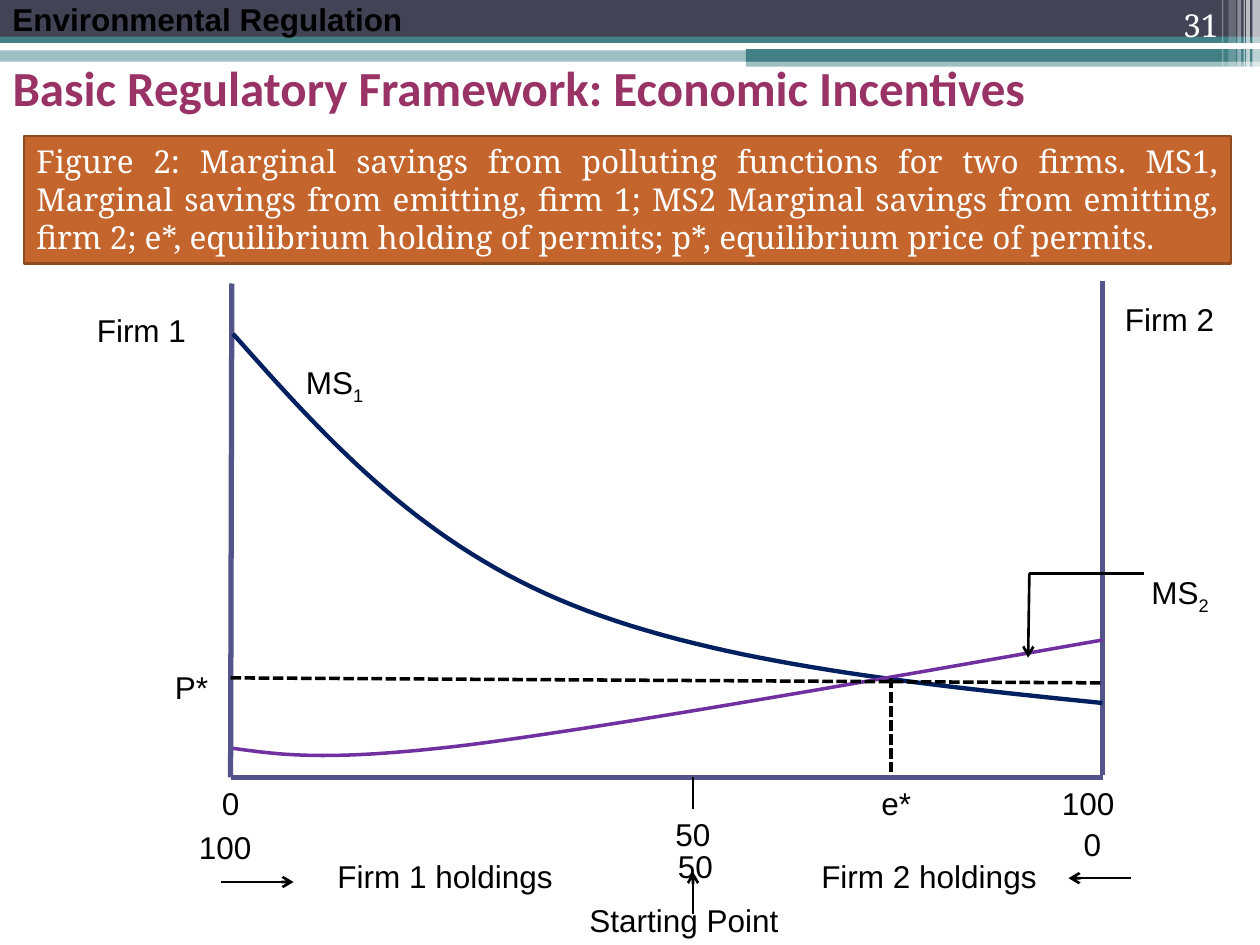
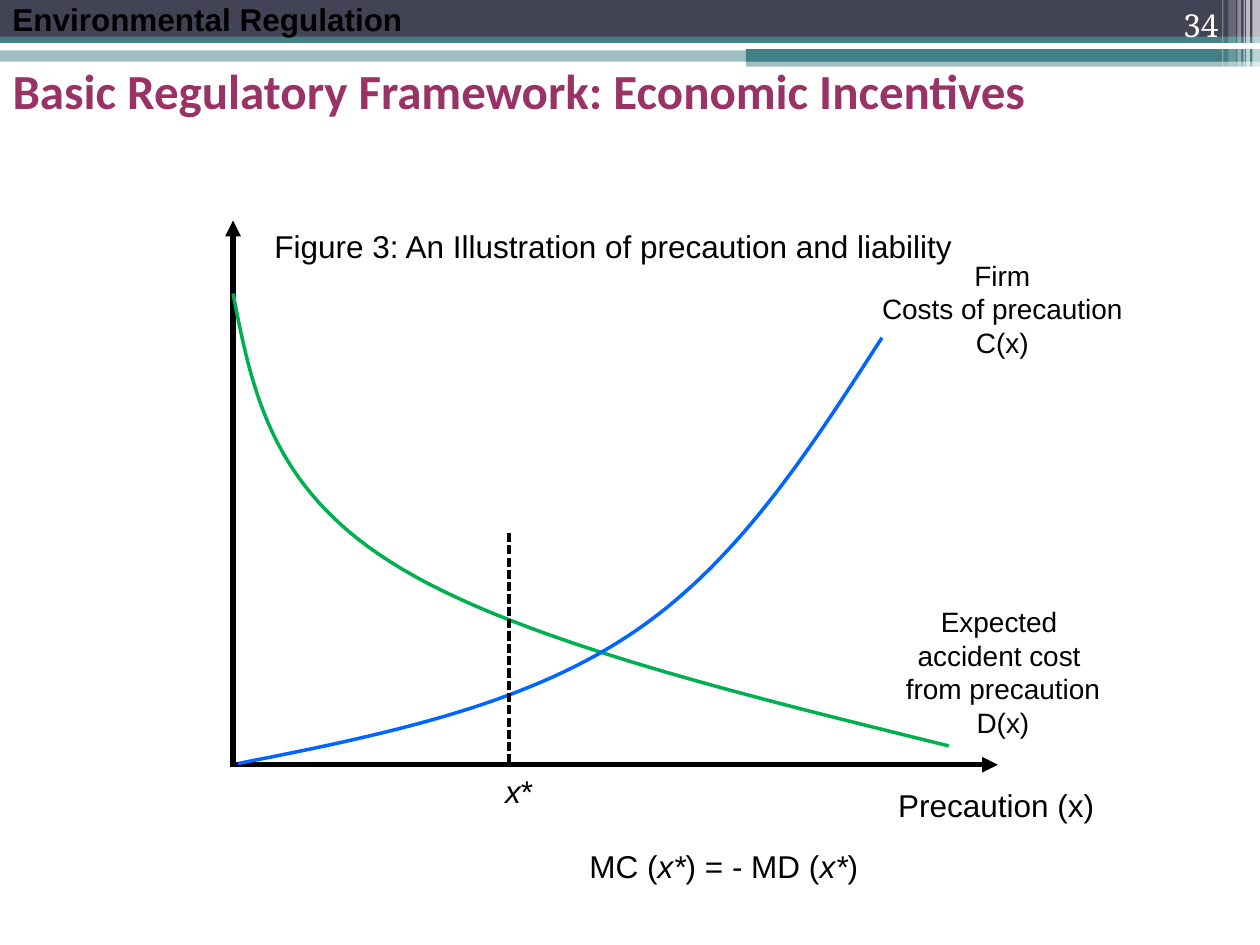
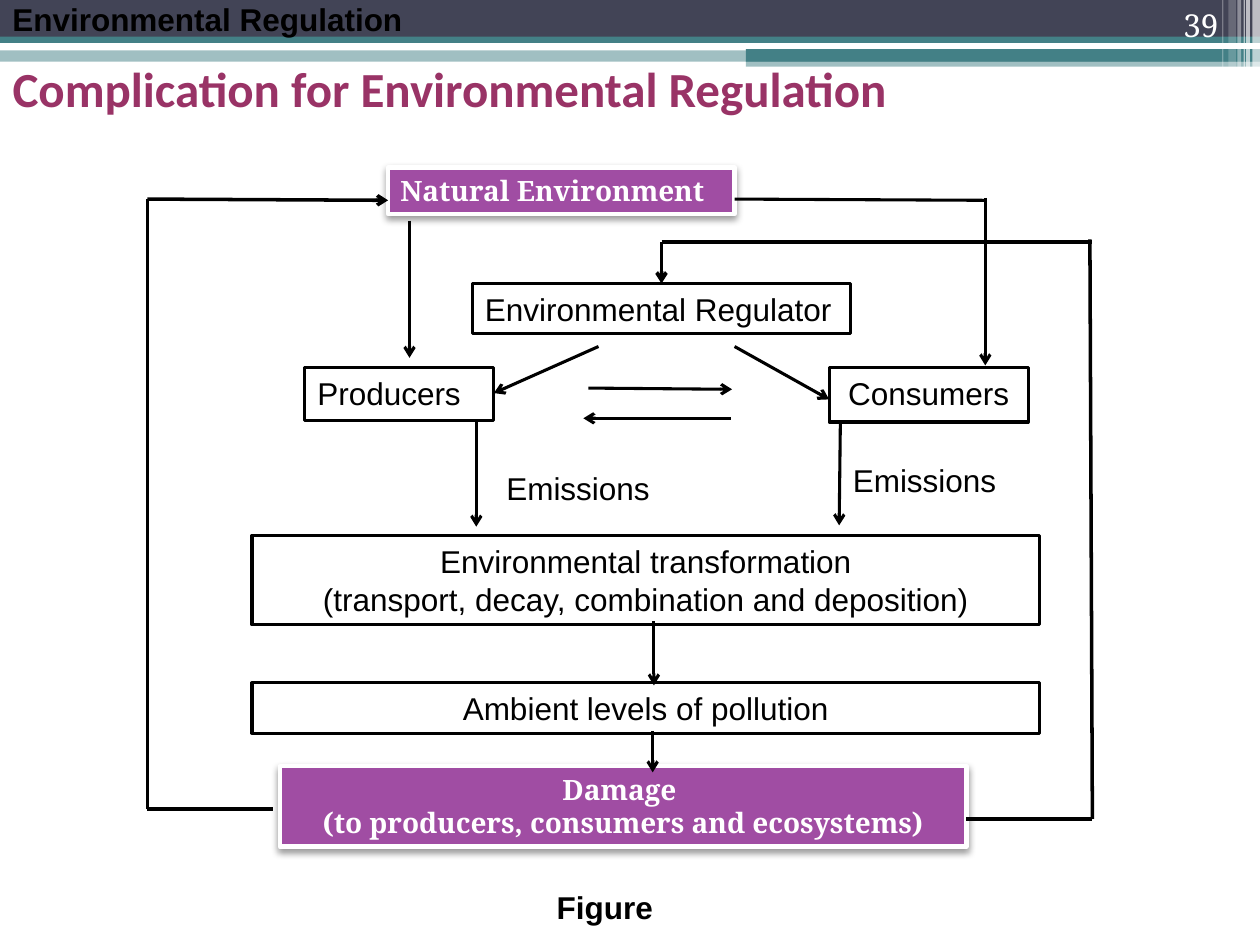
"""Builds three slides on environmental regulation."""
import lxml.etree
import pptx
import pptx.dml.color
import pptx.enum.dml
import pptx.enum.shapes
import pptx.enum.text
import pptx.oxml.ns
import pptx.util

PX = 9144
WIDE, HIGH = 1000, 750
HUES = {
    "ink": "000000", "white": "FFFFFF", "slate": "424456", "teal": "438086",
    "plum": "993366", "axis": "53548A", "navy": "002060", "purple": "7030A0",
    "rust": "C4652D", "brown": "914B21", "violet": "A04DA3", "green": "00B050",
    "blue": "0066FF",
}
BANDS = [
    (0, 40, WIDE, 9, "teal", 50), (0, 0, WIDE, 34, "slate", 100),
    (0, 29, WIDE, 5, "teal", 100), (592, 39, 408, 10, "teal", 100),
    (592, 48, 408, 5, "teal", 50),
]
STRIPES = [(994, 6, 68, 65), (989, 3, 68, 65), (987, 1, 68, 60),
           (982, 3, 68, 40), (975, 6, 64, 20), (970, 1, 64, 30)]
ALIGN = {
    "l": pptx.enum.text.PP_ALIGN.LEFT, "c": pptx.enum.text.PP_ALIGN.CENTER,
    "r": pptx.enum.text.PP_ALIGN.RIGHT, "j": pptx.enum.text.PP_ALIGN.JUSTIFY,
}
qn = pptx.oxml.ns.qn


def emu(*nums):
    return [pptx.util.Emu(round(n * PX)) for n in nums]


def hue(name):
    return pptx.dml.color.RGBColor.from_string(HUES[name])


class Deck:
    def __init__(self):
        self.show = pptx.Presentation()
        self.show.slide_width, self.show.slide_height = emu(WIDE, HIGH)

    def page(self, title, top, number):
        self.slide = self.show.slides.add_slide(self.show.slide_layouts[5])
        self.shapes = self.slide.shapes
        for *at, color, alpha in BANDS:
            self.box(at, color, alpha=alpha)
        self.box((806, 64, 175, 4), "white", form="ROUNDED_RECTANGLE")
        for left, width, height, alpha in STRIPES:
            self.box((left, 0, width, height), "white", alpha=alpha)
        self.text((0, -5, 350, 40), ["Environmental Regulation"], bold=True)
        self.text((894, 0, 83, 40), [number], "r", face="Noto Serif",
                  color="white", anchor="BOTTOM", grow=False)
        head = self.shapes.title
        head.left, head.top, head.width, head.height = emu(0, top, WIDE, 58)
        self.label(head, [title], size=28, face="Calibri", color="plum",
                   bold=True, anchor="MIDDLE", grow=False)
        head.element.getparent().append(head.element)

    def label(self, shape, paras, align="l", size=18, face="Arial",
              color="ink", bold=False, anchor="TOP", grow=True):
        frame = shape.text_frame
        frame.word_wrap = True
        frame.vertical_anchor = getattr(pptx.enum.text.MSO_ANCHOR, anchor)
        fit = pptx.enum.text.MSO_AUTO_SIZE
        frame.auto_size = fit.SHAPE_TO_FIT_TEXT if grow else fit.NONE
        for i, runs in enumerate(paras):
            para = frame.add_paragraph() if i else frame.paragraphs[0]
            para.alignment = ALIGN[align]
            font = para.font
            font.size, font.name, font.bold = pptx.util.Pt(size), face, bold
            font.color.rgb = hue(color)
            for words, mark in [(runs, "")] if isinstance(runs, str) else runs:
                run = para.add_run()
                run.text = words
                if mark == "i":
                    run.font.italic = True
                elif mark == "sub":
                    run.font.italic = False
                    props = list(shape.element.iter(qn("a:rPr")))[-1]
                    props.set("baseline", "-25000")

    def text(self, at, paras, align="l", **style):
        self.label(self.shapes.add_textbox(*emu(*at)), paras, align, **style)

    def box(self, at, fill=None, line=None, width=1.75, alpha=100,
            form="RECTANGLE"):
        kind = getattr(pptx.enum.shapes.MSO_SHAPE, form)
        shape = self.shapes.add_shape(kind, *emu(*at))
        shape.shadow.inherit = False
        if fill:
            shape.fill.solid()
            shape.fill.fore_color.rgb = hue(fill)
        else:
            shape.fill.background()
        if alpha < 100:
            paint = shape.element.spPr.find(".//" + qn("a:srgbClr"))
            lxml.etree.SubElement(paint, qn("a:alpha"), val=str(alpha * 1000))
        if line:
            self.pen(shape, line, width)
        else:
            shape.line.fill.background()
        return shape

    def frame(self, at, paras, align="c"):
        self.label(self.box(at, line="ink"), paras, align)

    def card(self, at, paras, align="c"):
        shape = self.box(at, "violet", "white", 2.5)
        glow = shape.element.spPr.find(qn("a:effectLst"))
        shade = lxml.etree.SubElement(
            glow, qn("a:outerShdw"), blurRad="52070", dist="25400",
            dir="5400000", rotWithShape="0")
        paint = lxml.etree.SubElement(shade, qn("a:srgbClr"), val=HUES["ink"])
        lxml.etree.SubElement(paint, qn("a:alpha"), val="40000")
        self.label(shape, paras, align, 16, "Noto Serif", "white", True)

    def pen(self, shape, color, width):
        shape.line.color.rgb = hue(color)
        shape.line.width = pptx.util.Pt(width)

    def line(self, ends, width=1.75, tip=None, dash=False, color="ink"):
        kind = pptx.enum.shapes.MSO_CONNECTOR.STRAIGHT
        wire = self.shapes.add_connector(kind, *emu(*ends))
        self.pen(wire, color, width)
        if dash:
            wire.line.dash_style = pptx.enum.dml.MSO_LINE.SQUARE_DOT
        props = wire.element.spPr
        if tip:
            stroke = props.find(qn("a:ln"))
            lxml.etree.SubElement(stroke, qn("a:tailEnd"), type=tip)
        lxml.etree.SubElement(props, qn("a:effectLst"))

    def curve(self, start, bends, color, width=2, steps=32):
        dots, last = [], start
        for bend in bends:
            knots = [last, bend[:2], bend[2:4], bend[4:]]
            for i in range(1, steps + 1):
                t = i / steps
                parts = ((1 - t) ** 3, 3 * t * (1 - t) ** 2,
                         3 * t * t * (1 - t), t ** 3)
                dots.append(emu(*(sum(p * k[d] for p, k in zip(parts, knots))
                                  for d in (0, 1))))
            last = bend[4:]
        trace = self.shapes.build_freeform(*emu(*start), scale=1.0)
        trace.add_line_segments(dots, close=False)
        shape = trace.convert_to_shape()
        shape.shadow.inherit = False
        shape.fill.background()
        self.pen(shape, color, width)


def permits(deck):
    deck.page("Basic Regulatory Framework: Economic Incentives", 40, "31")
    for ends in [(184, 225, 183, 617), (875, 223, 875, 615),
                 (183, 617, 875, 617)]:
        deck.line(ends, 3, color="axis")
    deck.curve((185, 265), [(257, 346, 329, 427, 444, 476),
                            (559, 525, 717, 542, 875, 558)], "navy", 2.5)
    deck.curve((185, 594), [(222, 599, 259, 605, 374, 591),
                            (489, 576, 682, 542, 875, 508)], "purple")
    for ends in [(707, 538, 707, 613), (183, 538, 875, 542)]:
        deck.line(ends, 2, dash=True)
    for ends in [(817, 455, 908, 455), (550, 617, 550, 642)]:
        deck.line(ends, 1.5)
    for ends in [(817, 455, 816, 522), (175, 700, 233, 700),
                 (898, 697, 848, 697), (550, 725, 550, 692)]:
        deck.line(ends, 1.5, "arrow")
    for left, top, width, words, align in [
        (904, 450, 83, [("MS", ""), ("2", "sub")], "l"),
        (233, 283, 83, [("MS", ""), ("1", "sub")], "l"),
        (125, 525, 50, "P*", "r"), (683, 617, 50, "e*", "r"),
        (158, 617, 50, "0", "c"), (148, 652, 75, "100", "l"),
        (833, 617, 75, "100", "l"), (842, 650, 50, "0", "c"),
        (525, 642, 50, "50", "c"), (527, 667, 50, "50", "c"),
        (258, 675, 200, "Firm 1 holdings", "l"),
        (642, 675, 200, "Firm 2 holdings", "l"),
        (458, 710, 192, "Starting Point", "l"),
        (67, 242, 92, "Firm 1", "l"), (883, 233, 92, "Firm 2", "l"),
    ]:
        deck.text((left, top, width, 40), [words], align)
    note = deck.box((19, 108, 958, 101), "rust", "brown", 1.5)
    deck.label(note, [
        "Figure 2: Marginal savings from polluting functions for two firms. "
        "MS1, Marginal savings from emitting, firm 1; MS2 Marginal savings "
        "from emitting, firm 2; e*, equilibrium holding of permits; "
        "p*, equilibrium price of permits."],
        "j", face="Noto Serif", color="white")


def caution(deck):
    deck.page("Basic Regulatory Framework: Economic Incentives", 42, "34")
    for ends in [(185, 609, 185, 175), (183, 607, 792, 607)]:
        deck.line(ends, 3, "triangle")
    deck.curve((185, 233), [(200, 310, 215, 386, 310, 446),
                            (404, 506, 579, 549, 753, 592)], "green")
    deck.curve((189, 606), [(301, 584, 413, 561, 498, 505),
                            (584, 449, 642, 358, 700, 268)], "blue")
    deck.line((404, 423, 404, 607), dash=True)
    deck.text((383, 608, 58, 40), [[("x", "i"), ("*", "")]], "c")
    deck.text((458, 667, 242, 40), [[("MC (", ""), ("x*", "i"),
              (") = - MD (", ""), ("x*", "i"), (")", "")]])
    deck.text((703, 619, 208, 42), ["Precaution (x)"])
    deck.text((692, 475, 208, 118), ["Expected ", "accident cost ",
              "from precaution D(x)"], "c", size=16)
    deck.text((683, 200, 225, 91), ["Firm", "Costs of precaution C(x)"],
              "c", size=16)
    deck.text((208, 175, 558, 40),
              ["Figure 3: An Illustration of precaution and liability"])


def system(deck):
    deck.page("Complication for Environmental Regulation", 41, "39")
    deck.card((308, 133, 275, 37), ["Natural Environment"], "l")
    deck.card((222, 608, 545, 64),
              ["Damage ", "(to producers, consumers and ecosystems)"])
    deck.frame((375, 225, 300, 40), ["Environmental Regulator"], "l")
    deck.frame((242, 292, 150, 42), ["Producers"], "l")
    deck.frame((658, 292, 158, 43), ["Consumers"])
    deck.frame((200, 425, 625, 71), ["Environmental transformation",
               "(transport, decay, combination and deposition)"])
    deck.frame((200, 542, 625, 40), ["Ambient levels of pollution"])
    for ends in [(117, 158, 117, 642), (117, 642, 217, 642),
                 (525, 192, 867, 192), (865, 190, 867, 650),
                 (767, 650, 867, 650)]:
        deck.line(ends, 2)
    for ends in [(117, 158, 308, 159), (525, 192, 525, 225)]:
        deck.line(ends, 2, "arrow")
    deck.line((583, 158, 783, 159))
    for ends in [(325, 175, 325, 284), (782, 157, 782, 290),
                 (475, 275, 392, 312), (583, 275, 658, 317),
                 (467, 308, 581, 309), (580, 332, 463, 332),
                 (667, 334, 666, 417), (378, 335, 378, 418),
                 (519, 493, 519, 544), (518, 580, 518, 613)]:
        deck.line(ends, tip="arrow")
    for left, top in [(392, 367), (667, 361)]:
        deck.text((left, top, 150, 42), ["Emissions"])
    deck.text((367, 700, 233, 40), ["Figure "], "c", bold=True)


def main():
    deck = Deck()
    for build in (permits, caution, system):
        build(deck)
    deck.show.save("out.pptx")


if __name__ == "__main__":
    main()
